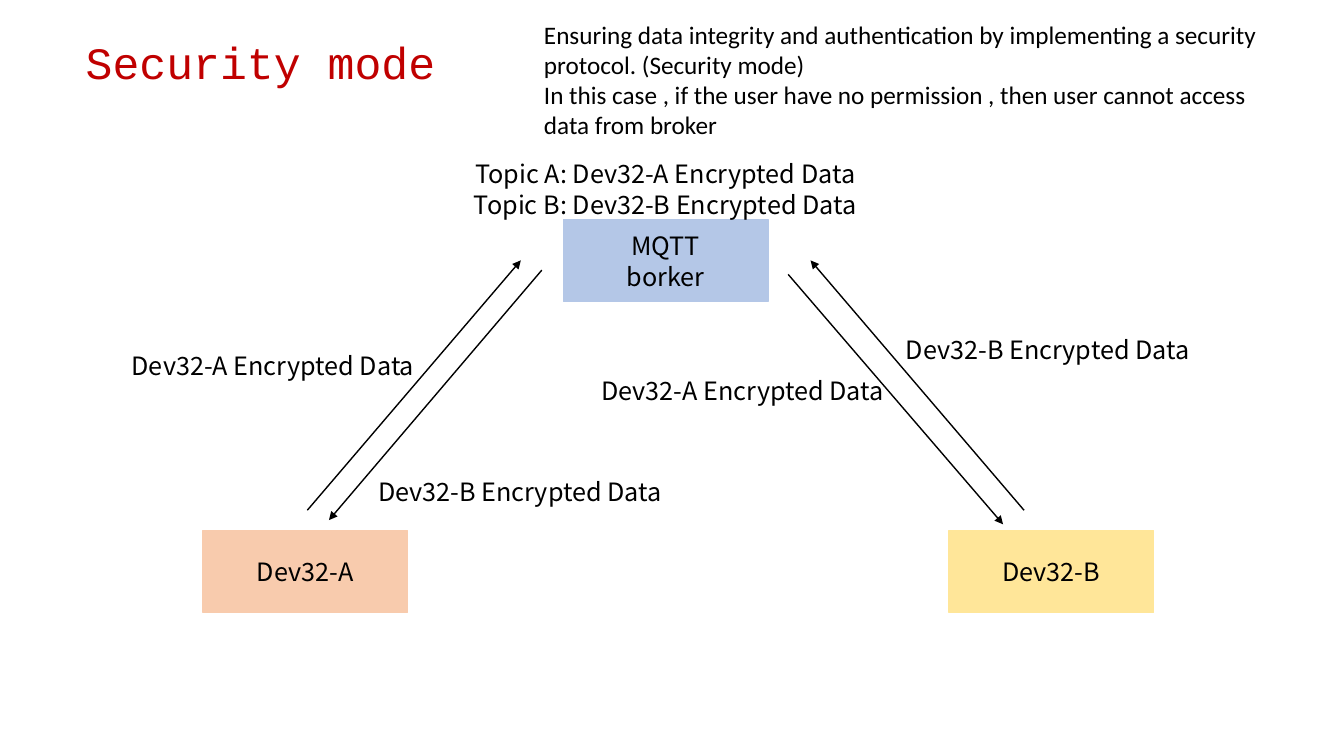
from pptx import Presentation
from pptx.dml.color import RGBColor
from pptx.enum import shapes, text
from pptx.oxml.ns import qn
from pptx.util import Pt
from lxml import etree

BLACK = RGBColor(0x00, 0x00, 0x00)
RED = RGBColor(0xC0, 0x00, 0x00)
BLUE = RGBColor(0xB4, 0xC7, 0xE7)
ORANGE = RGBColor(0xF8, 0xCB, 0xAD)
YELLOW = RGBColor(0xFF, 0xE6, 0x99)
LABEL_FONT = "Noto Sans CJK SC"
DEVICE = "Dev32"
NODE_SIZE = (146, 58.5)
LABEL_SIZE = (285, 29)


def write(sp, lines, font=LABEL_FONT, size=18, color=BLACK, align=text.PP_ALIGN.LEFT,
          anchor=text.MSO_ANCHOR.TOP, spacing=Pt(22)):
    tf = sp.text_frame
    tf.word_wrap = True
    tf.auto_size = text.MSO_AUTO_SIZE.NONE
    tf.vertical_anchor = anchor
    tf.margin_left = tf.margin_right = Pt(7.2)
    tf.margin_top = tf.margin_bottom = Pt(3.6)
    for i, line in enumerate(lines):
        p = tf.paragraphs[0] if i == 0 else tf.add_paragraph()
        p.alignment = align
        p.line_spacing = spacing
        r = p.add_run()
        r.text = line
        r.font.name = font
        r.font.size = Pt(size)
        r.font.color.rgb = color


def add_text(s, box, lines, **fmt):
    write(s.shapes.add_textbox(*map(Pt, box)), lines, **fmt)


def add_node(s, left, top, lines, color):
    sp = s.shapes.add_shape(shapes.MSO_SHAPE.RECTANGLE, *map(Pt, (left, top, *NODE_SIZE)))
    sp.shadow.inherit = False
    sp.fill.solid()
    sp.fill.fore_color.rgb = color
    sp.line.color.rgb = color
    sp.line.width = Pt(1)
    write(sp, lines, align=text.PP_ALIGN.CENTER, anchor=text.MSO_ANCHOR.MIDDLE)


def add_arrow(s, start, end):
    c = s.shapes.add_connector(shapes.MSO_CONNECTOR.STRAIGHT, *map(Pt, (*start, *end)))
    c.line.color.rgb = BLACK
    c.line.width = Pt(1)
    etree.SubElement(c.line._get_or_add_ln(), qn("a:tailEnd"), type="triangle")
    etree.SubElement(c._element.spPr, qn("a:effectLst"))


def add_header(s, left, top):
    title = s.shapes.title
    title.left, title.top, title.width, title.height = map(Pt, (left, top + 11.5, 745, 46))
    write(title, ["Security mode"], font="Courier New", size=32, color=RED, spacing=1.0)
    add_text(s, (left + 327.5, top, 547, 94), [
        "Ensuring data integrity and authentication by implementing a security protocol. "
        "(Security mode)",
        "In this case , if the user have no permission , then user cannot access data from broker",
    ], font="Calibri", spacing=1.0)


def add_diagram(s, left, top):
    add_node(s, left + 257.5, top + 47.5, ["MQTT", "borker"], BLUE)
    add_node(s, left, top + 269.5, [f"{DEVICE}-A"], ORANGE)
    add_node(s, left + 533, top + 269.5, [f"{DEVICE}-B"], YELLOW)
    add_text(s, (left + 110, top - 0.5, 440.5, 51),
             [f"Topic {n}: {DEVICE}-{n} Encrypted Data" for n in "AB"],
             align=text.PP_ALIGN.CENTER)
    for x1, y1, x2, y2 in [(242, 83.5, 90, 262), (74.5, 255, 227, 76.5),
                           (586.5, 255, 434, 76.5), (418, 86.5, 571.5, 265)]:
        add_arrow(s, (left + x1, top + y1), (left + x2, top + y2))
    for n, x, y in [("A", -58, 137), ("B", 495, 125.5), ("B", 118, 226.5), ("A", 277.5, 154.5)]:
        add_text(s, (left + x, top + y, *LABEL_SIZE), [f"{DEVICE}-{n} Encrypted Data"])


def main():
    prs = Presentation()
    prs.slide_width, prs.slide_height = Pt(960), Pt(540)
    s = prs.slides.add_slide(prs.slide_layouts[5])
    add_header(s, 54, 10)
    add_diagram(s, 145, 109.5)
    prs.save("out.pptx")


if __name__ == "__main__":
    main()
